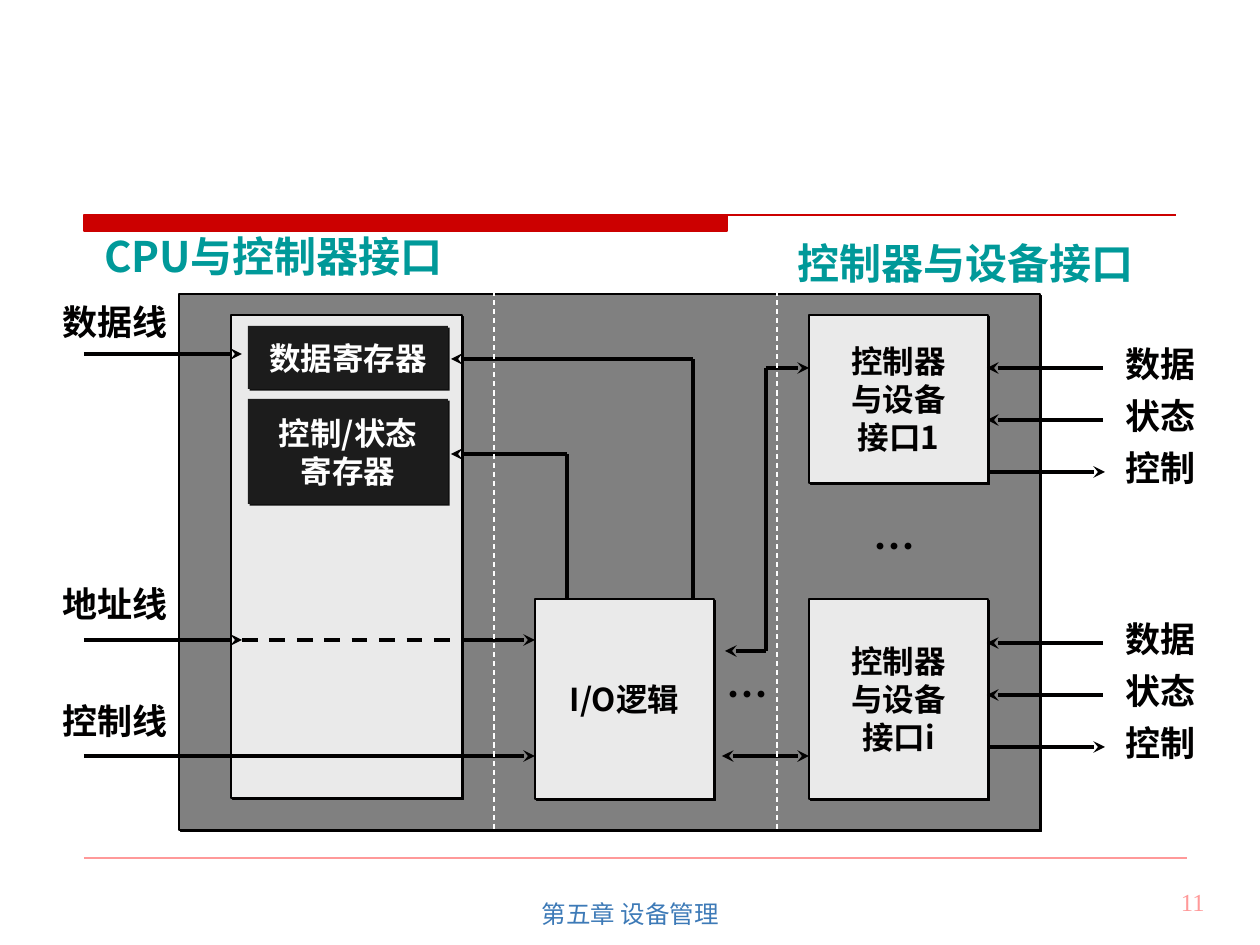
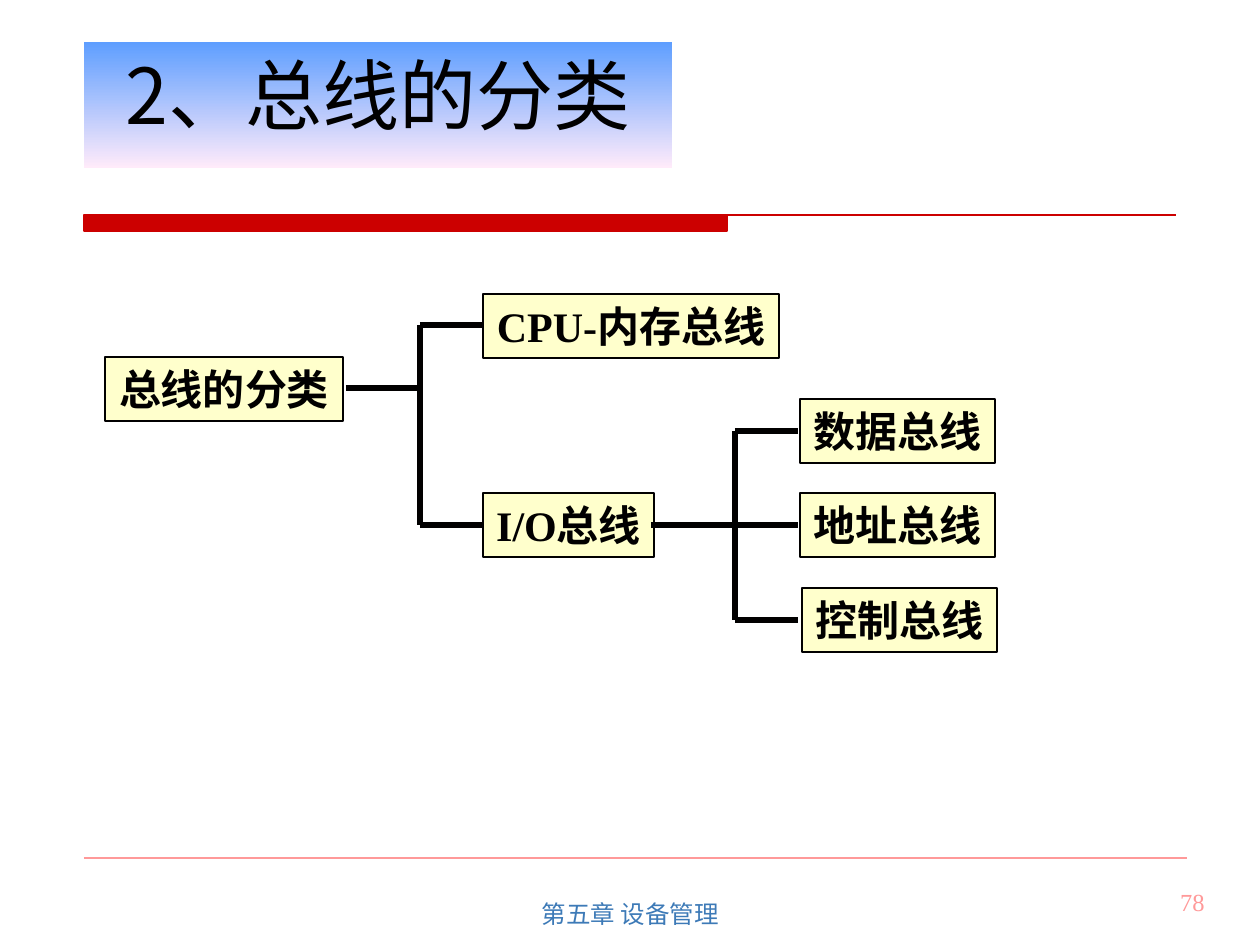
from lxml.etree import SubElement
from pptx import Presentation
from pptx.dml.color import RGBColor
from pptx.enum.dml import MSO_LINE
from pptx.enum.shapes import MSO_CONNECTOR, MSO_SHAPE
from pptx.enum.text import MSO_ANCHOR, MSO_AUTO_SIZE, PP_ALIGN
from pptx.oxml.ns import qn
from pptx.util import Emu, Inches, Pt

INK = RGBColor(0x01, 0x00, 0x00)
WHITE = RGBColor(0xFF, 0xFF, 0xFF)
RED = RGBColor(0xCC, 0x00, 0x00)
PINK = RGBColor(0xFF, 0x99, 0x99)
TEAL = RGBColor(0x00, 0x99, 0x99)
FOOTER_BLUE = RGBColor(0x3D, 0x7A, 0xB7)
CHIP_GRAY = RGBColor(0x80, 0x80, 0x80)
PANEL_GRAY = RGBColor(0xEA, 0xEA, 0xEA)
REGISTER_BLACK = RGBColor(0x1C, 0x1C, 0x1C)
REGISTER_SHADOW = RGBColor(0x10, 0x10, 0x10)
CREAM = RGBColor(0xFF, 0xFF, 0xCC)
TITLE_TOP = RGBColor(0x5E, 0x9E, 0xFF)
TITLE_BOTTOM = RGBColor(0xFF, 0xEB, 0xFA)

SANS = "Noto Sans CJK SC"
SERIF = "Times New Roman"
PIXEL = 914400 / 126
HAIRLINE = 0.74


def px(*lengths):
    return [Emu(round(length * PIXEL)) for length in lengths]


def write(shape, text, size=18, font=SANS, color=INK, bold=True,
          align=PP_ALIGN.CENTER, anchor=MSO_ANCHOR.MIDDLE, wrap=True,
          side=0.1, spacing=None):
    frame = shape.text_frame
    frame.auto_size = MSO_AUTO_SIZE.NONE
    frame.word_wrap = wrap
    frame.vertical_anchor = anchor
    frame.margin_left = frame.margin_right = Inches(side)
    frame.margin_top = frame.margin_bottom = Inches(0.05)
    frame.text = text
    for para in frame.paragraphs:
        para.alignment = align
        if spacing:
            para.line_spacing = spacing
        for span in para.runs:
            span.font.size = Pt(size)
            span.font.bold = bold
            span.font.color.rgb = color
            span.font.name = font
            SubElement(span.font._element, qn("a:ea"), typeface=SANS)


class Board:
    def __init__(self):
        self.deck = Presentation()
        self.deck.slide_width, self.deck.slide_height = px(1260, 945)
        self.page = None

    def new_page(self, number, layout):
        self.page = self.deck.slides.add_slide(self.deck.slide_layouts[layout])
        self.line(84, 858, 1187, 858, PINK, HAIRLINE)
        self.label(955, 881, 262, 63, str(number), size=14, font=SERIF,
                   color=PINK, bold=False, align=PP_ALIGN.RIGHT)
        self.line(84, 215, 1176, 215, RED, HAIRLINE)
        self.box(84, 215, 643, 16, RED, edge=RED)
        self.label(431, 882, 399, 63, "第五章 设备管理", size=14, font="Arial",
                   color=FOOTER_BLUE, bold=False, anchor=MSO_ANCHOR.MIDDLE)

    def title(self, left, top, width, height, text):
        title = self.page.shapes.title
        title.left, title.top, title.width, title.height = px(left, top, width, height)
        title.fill.gradient()
        title.fill.gradient_angle = 270
        for stop, color in zip(title.fill.gradient_stops, (TITLE_TOP, TITLE_BOTTOM)):
            stop.color.rgb = color
        write(title, text, size=44, bold=False, spacing=0.7)

    def label(self, left, top, width, height, text, **style):
        box = self.page.shapes.add_textbox(*px(left, top, width, height))
        write(box, text, **{"anchor": MSO_ANCHOR.TOP, **style})

    def box(self, left, top, width, height, fill, text=None, edge=INK,
            shadow=None, **style):
        box = self.page.shapes.add_shape(
            MSO_SHAPE.RECTANGLE, *px(left, top, width, height))
        box.shadow.inherit = False
        box.fill.solid()
        box.fill.fore_color.rgb = fill
        if edge is None:
            box.line.fill.background()
        else:
            box.line.color.rgb = edge
            box.line.width = Pt(HAIRLINE)
        if shadow is not None:
            effects = box.element.spPr.find(qn("a:effectLst"))
            outer = SubElement(effects, qn("a:outerShdw"), blurRad="0",
                               dist=str(Pt(1.4)), dir="2700000", algn="ctr",
                               rotWithShape="0")
            SubElement(outer, qn("a:srgbClr"), val=str(shadow))
        if text:
            write(box, text, wrap=False, **style)

    def line(self, x1, y1, x2, y2, color=INK, width=2.24, dash=False, arrows=()):
        line = self.page.shapes.add_connector(
            MSO_CONNECTOR.STRAIGHT, *px(x1, y1, x2, y2))
        line.line.color.rgb = color
        line.line.width = Pt(width)
        if dash:
            line.line.dash_style = MSO_LINE.DASH
        properties = line.element.spPr
        for end in arrows:
            SubElement(properties.find(qn("a:ln")), qn(f"a:{end}End"), type="stealth")
        SubElement(properties, qn("a:effectLst"))

    def arrow(self, x1, y1, x2, y2, arrows=("tail",)):
        self.line(x1, y1, x2, y2, arrows=arrows)

    def bracket(self, start, trunk, end, stem, branches):
        self.line(start, stem, trunk, stem, width=3)
        self.line(trunk, branches[0], trunk, branches[-1], width=3)
        for y in branches:
            self.line(trunk, y, end, y, width=3)


def draw_controller(board):
    board.new_page(11, layout=6)
    board.box(179, 294, 861, 536, CHIP_GRAY, shadow=INK)
    for left, top, width, height, text in (
            (231, 315, 231, 483, None),
            (535, 599, 179, 200, "I/O逻辑"),
            (809, 599, 179, 200, "控制器\n与设备\n接口i"),
            (809, 315, 179, 168, "控制器\n与设备\n接口1")):
        board.box(left, top, width, height, PANEL_GRAY, text, shadow=INK)
    for top, height, text in ((326, 63, "数据寄存器"), (399, 105, "控制/状态\n寄存器")):
        board.box(248, top, 200, height, REGISTER_BLACK, text, edge=None,
                  shadow=REGISTER_SHADOW, color=WHITE)

    board.arrow(84, 354, 242, 354)
    board.arrow(84, 640, 242, 640)
    board.arrow(84, 756, 535, 756)
    board.line(242, 640, 462, 640, dash=True)
    board.arrow(462, 640, 535, 640)
    board.arrow(809, 756, 722, 756, arrows=("head", "tail"))
    for x, y in ((567, 454), (693, 359)):
        board.line(x, 599, x, y)
        board.arrow(x, y, 451, y)
    board.arrow(766, 368, 809, 368)
    board.arrow(766, 651, 725, 651)
    board.line(766, 651, 766, 368)
    for x in (777, 494):
        board.line(x, 273, x, 851, WHITE, HAIRLINE, dash=True)

    for top, text in ((294, "数据线"), (576, "地址线"), (693, "控制线")):
        board.label(42, top, 147, 55, text, size=20, font=SERIF)
    for first in (368, 643):
        for row, text in enumerate(("数据", "状态", "控制")):
            y = first + 52 * row
            if text == "控制":
                board.arrow(989, y, 1105, y)
            else:
                board.arrow(1103, y, 987, y)
            board.label(1103, y - 32, 116, 55, text, size=20, font=SERIF)
    for left, top in ((714, 662), (861, 514)):
        board.label(left, top, 63, 63, "…", size=24)
    for left, top, text in ((74, 224, "CPU与控制器接口"), (766, 231, "控制器与设备接口")):
        board.label(left, top, 399, 63, text, size=24, color=TEAL)


def draw_bus_tree(board):
    board.new_page(78, layout=5)
    for left, top, width, text in (
            (105, 357, 238, "总线的分类"),
            (483, 294, 296, "CPU-内存总线"),
            (483, 493, 171, "I/O总线"),
            (800, 399, 195, "数据总线"),
            (800, 493, 195, "地址总线"),
            (802, 588, 195, "控制总线")):
        board.box(left, top, width, 64, CREAM, text, size=24, font=SERIF,
                  anchor=MSO_ANCHOR.TOP, side=0.02)
    board.bracket(346, 420, 483, 388, (325, 525))
    board.bracket(651, 735, 798, 525, (431, 525, 620))
    board.title(84, 42, 588, 126, "2、总线的分类")


board = Board()
draw_controller(board)
draw_bus_tree(board)
board.deck.save("out.pptx")
